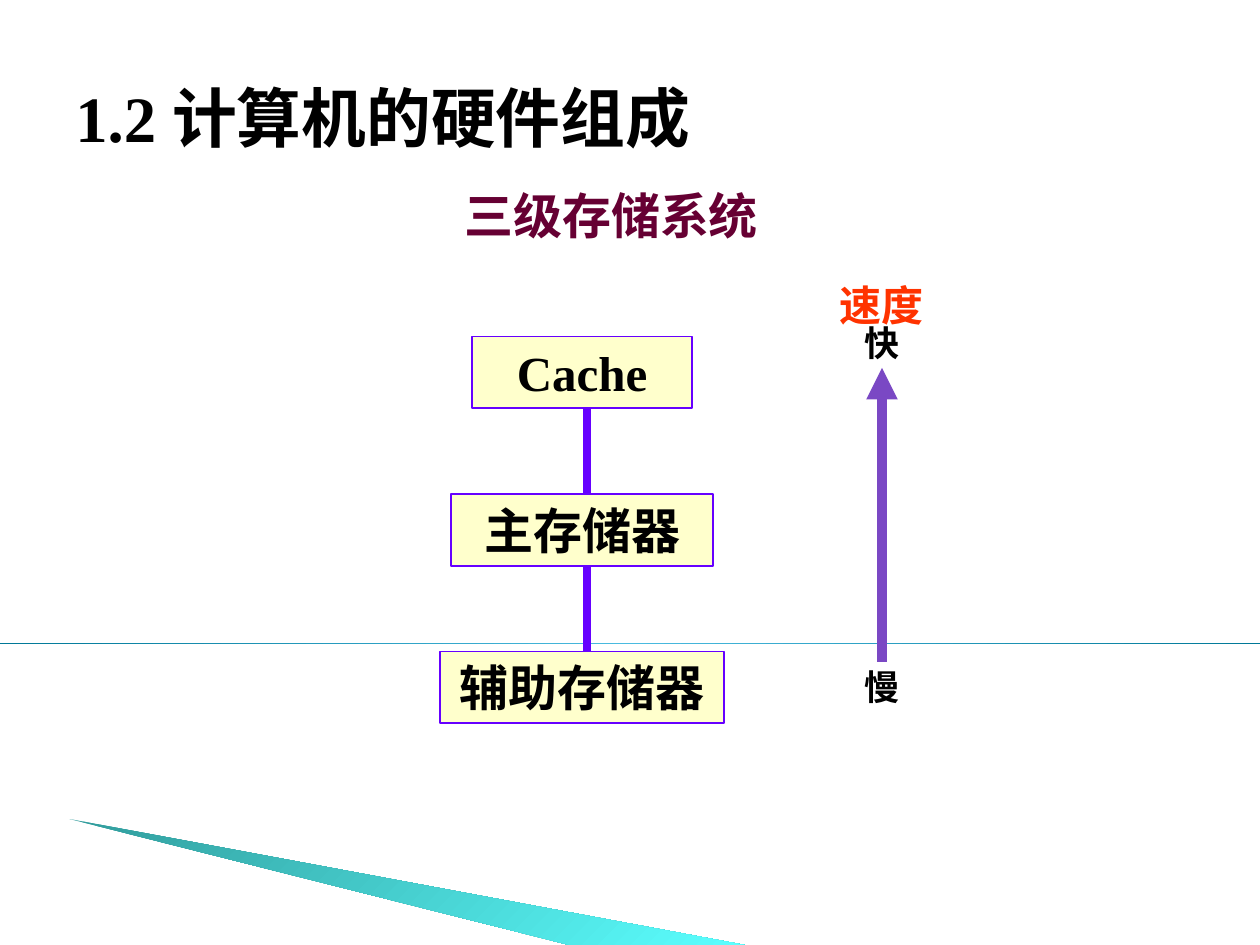
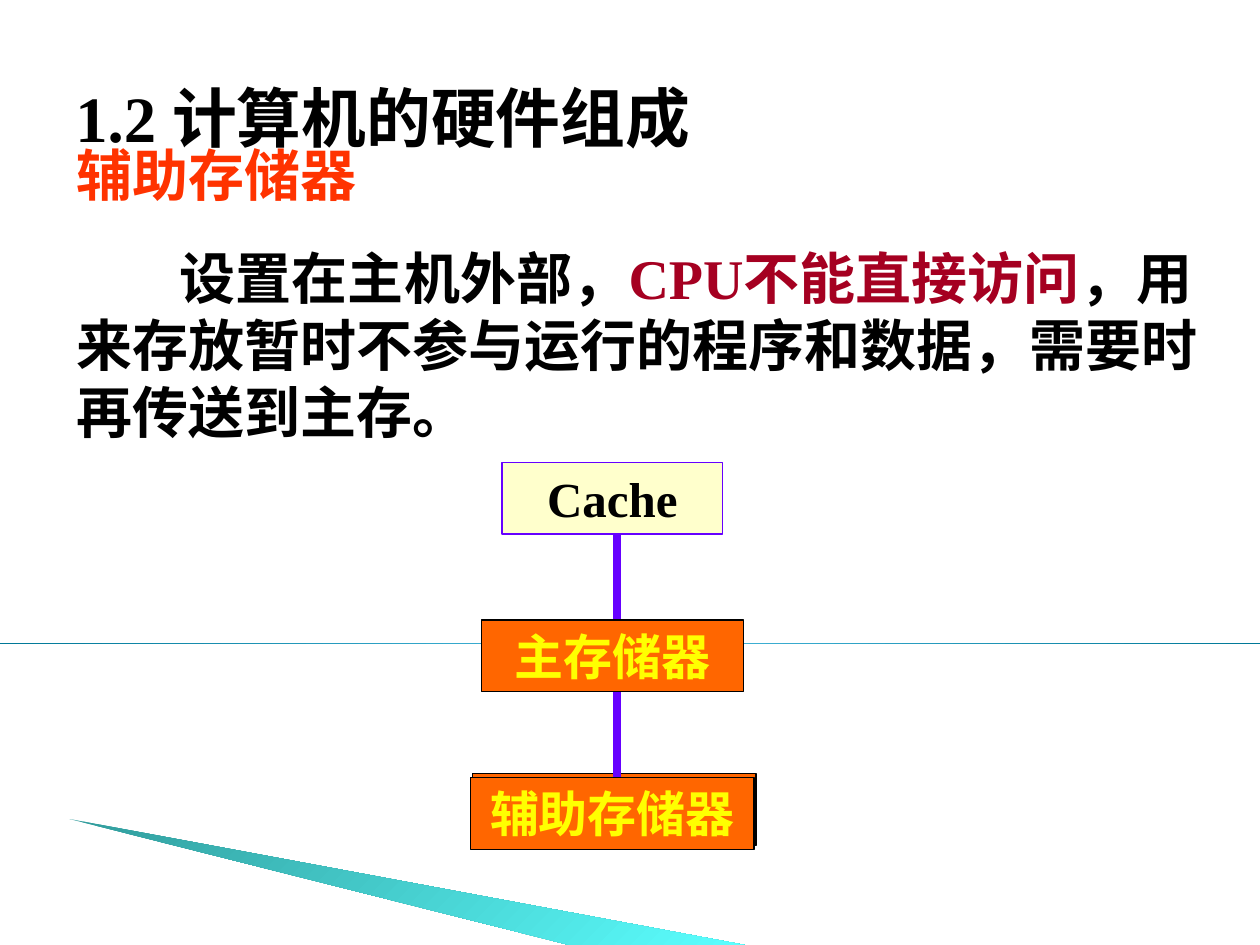
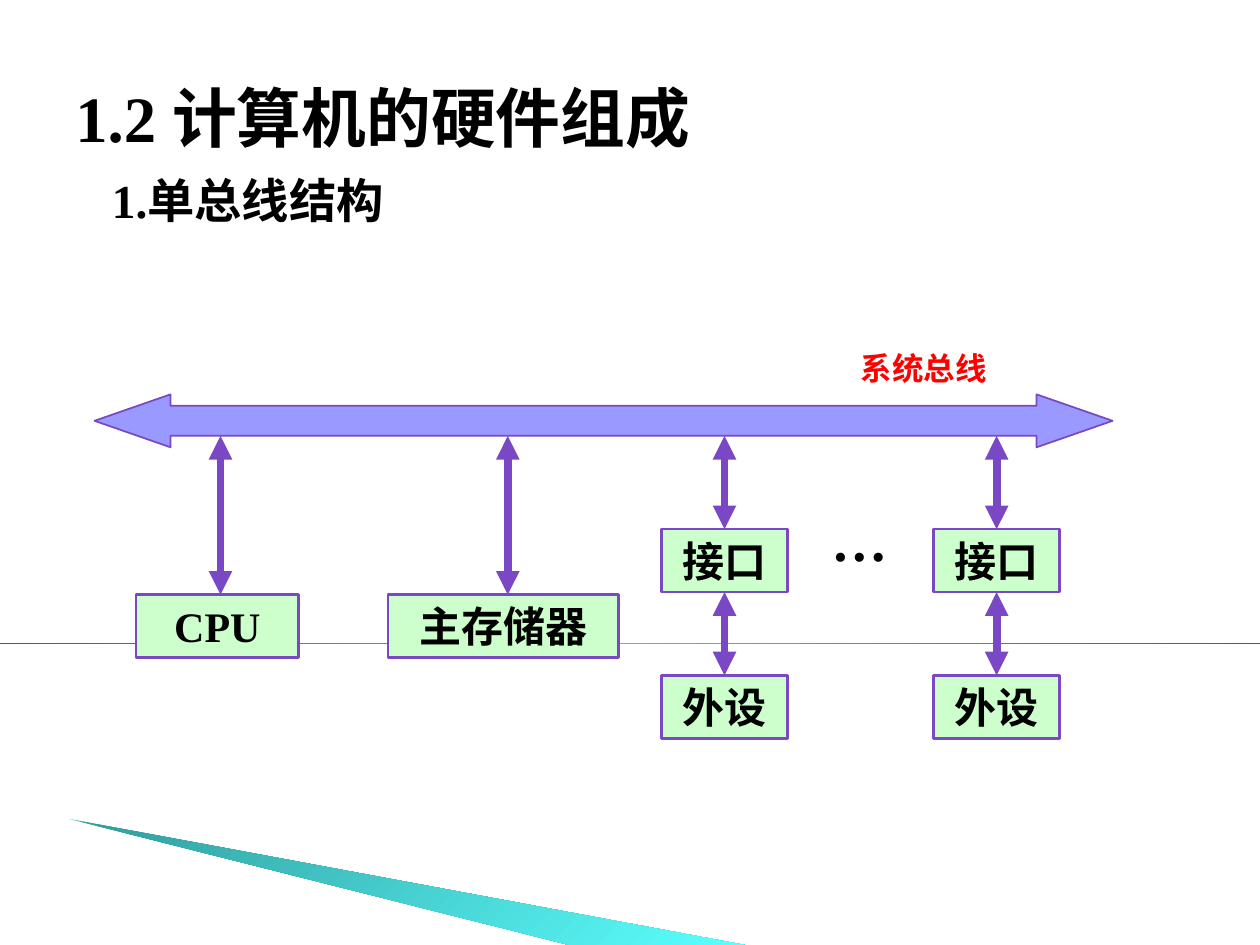
import copy

import pptx
import pptx.dml.color
import pptx.enum.dml
import pptx.enum.shapes
import pptx.enum.text
import pptx.oxml.ns
import pptx.util
from lxml import etree

W, H = 10, 7.5
LATIN, CJK = "Times New Roman", "Noto Sans CJK SC"
BLACK, RED_ORANGE, VIOLET, PURPLE = "000000", "FF3300", "6600FF", "7A48C4"
TITLE = "1.2 计算机的硬件组成"

# name, width
LEVELS = [("Cache", 1.75), ("主存储器", 2.08), ("辅助存储器", 2.25)]
LEVEL_H, LEVEL_STEP = 0.57, 1.25
CREAM = {"fill": "FFFFCC", "line": VIOLET, "weight": 1, "color": BLACK}
HOT = {"fill": "FF6600", "line": BLACK, "weight": 0.75, "color": "FFFF00"}

# text, middle of the label, size, colour
SPEED_LABELS = [("速度", 2.42, 24, RED_ORANGE), ("快", 2.72, 20, BLACK), ("慢", 5.45, 20, BLACK)]

AUXILIARY = [
    [("辅助存储器", RED_ORANGE)],
    [("设置在主机外部，", BLACK), ("CPU不能直接访问", "A50021"),
     ("，用来存放暂时不参与运行的程序和数据，需要时再传送到主存。", BLACK)],
]

BUS_BOTTOM, UNIT_H = 3.46, 0.5
# name, left, width, x of its bus arrow
UNITS = [("CPU", 1.08, 1.29, 1.75), ("主存储器", 3.08, 1.83, 4.03)]
UNIT_TOP = 4.72
DEVICE_LEFTS = [5.25, 7.41]
DEVICES = [("接口", 4.2), ("外设", 5.36)]

SHAPE = pptx.enum.shapes.MSO_SHAPE
ALIGN = pptx.enum.text.PP_ALIGN
ANCHOR = pptx.enum.text.MSO_ANCHOR
qn = pptx.oxml.ns.qn


def inches(*lengths):
    return [pptx.util.Inches(v) for v in lengths]


def rgb(value):
    return pptx.dml.color.RGBColor.from_string(value)


def write(sp, paragraphs, size, align=ALIGN.CENTER, anchor=ANCHOR.MIDDLE, wrap=True,
          space=0, leading=None):
    """Fill a shape with paragraphs, each a list of (text, colour) runs."""
    tf = sp.text_frame
    tf.word_wrap = wrap
    tf.vertical_anchor = anchor
    for i, runs in enumerate(paragraphs):
        p = tf.add_paragraph() if i else tf.paragraphs[0]
        p.alignment = align
        if i:
            p.space_before = pptx.util.Pt(space)
        if leading:
            p.line_spacing = pptx.util.Pt(leading)
        for text, color in runs:
            r = p.add_run()
            r.text = text
            r.font.size = pptx.util.Pt(size)
            r.font.bold = True
            r.font.name = LATIN
            r.font.color.rgb = rgb(color)
            etree.SubElement(r.font._element, qn("a:ea"), typeface=CJK)
    return tf


def add_text(s, box, paragraphs, size, **style):
    sp = s.shapes.add_textbox(*inches(*box))
    return write(sp, paragraphs, size, **style)


def add_box(s, box, fill, line, weight, kind=SHAPE.RECTANGLE):
    sp = s.shapes.add_shape(kind, *inches(*box))
    sp.shadow.inherit = False
    sp.fill.solid()
    sp.fill.fore_color.rgb = rgb(fill)
    sp.line.color.rgb = rgb(line)
    sp.line.width = pptx.util.Pt(weight)
    return sp


def add_line(s, start, end, color, weight, heads=()):
    c = s.shapes.add_connector(pptx.enum.shapes.MSO_CONNECTOR.STRAIGHT, *inches(*start, *end))
    c.line.color.rgb = rgb(color)
    c.line.width = pptx.util.Pt(weight)
    ln = c.line._get_or_add_ln()
    for head in heads:
        etree.SubElement(ln, qn("a:" + head), type="triangle")
    etree.SubElement(c._element.spPr, qn("a:effectLst"))
    return c


def add_bus_link(s, start, end):
    return add_line(s, start, end, PURPLE, 4.5, ("headEnd", "tailEnd"))


def paint_gradient(sp, colors, angle):
    """Spread the colours evenly; the angle runs counter-clockwise."""
    sp.shadow.inherit = False
    sp.line.fill.background()
    sp.fill.gradient()
    sp.fill.gradient_angle = angle
    stops = sp._element.spPr.find(".//" + qn("a:gsLst"))
    while len(stops) < len(colors):
        stops.append(copy.deepcopy(stops[0]))
    for i, (stop, color) in enumerate(zip(sp.fill.gradient_stops, colors)):
        stop.color.rgb = rgb(color)
        stop.position = i / (len(colors) - 1)


def add_slide(prs):
    """Blank slide with the shared rule, wedge and title."""
    s = prs.slides.add_slide(prs.slide_layouts[6])
    rule = s.shapes.add_shape(SHAPE.RECTANGLE, *inches(0, 5.1, W, 0.01))
    paint_gradient(rule, ["007897", "4ABBE0", "007897"], 0)
    fb = s.shapes.build_freeform(*inches(0.55, 6.5), scale=1.0)
    fb.add_line_segments([inches(*pt) for pt in [(5.91, H), (4.52, H)]], close=True)
    paint_gradient(fb.convert_to_shape(), ["319C9C", "5BFFFF"], 315)
    add_text(s, (0.5, 0.3, 9, 1.25), [[(TITLE, BLACK)]], 37, align=ALIGN.LEFT)
    return s


def add_levels(s, center, top, styles):
    """Stack the storage levels and link each to the next."""
    link_x = center + 0.04
    for i in range(len(LEVELS) - 1):
        y = top + i * LEVEL_STEP
        add_line(s, (link_x, y + LEVEL_H), (link_x, y + LEVEL_STEP), VIOLET, 4.5)
    for i, ((name, width), style) in enumerate(zip(LEVELS, styles)):
        box = (center - width / 2, top + i * LEVEL_STEP, width, LEVEL_H)
        sp = add_box(s, box, style["fill"], style["line"], style["weight"])
        write(sp, [[(name, style["color"])]], 28, wrap=False)


def three_levels(prs):
    s = add_slide(prs)
    add_levels(s, 4.62, 2.67, [CREAM] * 3)
    for text, middle, size, color in SPEED_LABELS:
        add_text(s, (6.46, middle - 0.25, 1.08, 0.5), [[(text, color)]], size)
    add_line(s, (7, 5.25), (7, 2.92), PURPLE, 6, ("tailEnd",))
    add_text(s, (3.44, 1.42, 2.82, 0.57), [[("三级存储系统", "660033")]], 28)


def auxiliary_storage(prs):
    s = add_slide(prs)
    add_box(s, (3.75, 6.14, 2.25, LEVEL_H), HOT["fill"], HOT["line"], HOT["weight"])
    add_levels(s, 4.86, 3.67, [CREAM, HOT, HOT])
    tf = add_text(s, (0.51, 1.07, 9.49, 2.51), AUXILIARY, 32, align=ALIGN.LEFT,
                  anchor=ANCHOR.TOP, space=20, leading=38.4)
    tf.paragraphs[1]._p.get_or_add_pPr().set("indent", str(pptx.util.Inches(0.82)))


def single_bus(prs):
    s = add_slide(prs)
    bus = add_box(s, (0.75, 3.13, 8.08, 0.42), "9999FF", PURPLE, 1, SHAPE.LEFT_RIGHT_ARROW)
    bus.adjustments[0], bus.adjustments[1] = 0.567, 1.436

    def add_unit(name, left, top, width):
        sp = add_box(s, (left, top, width, UNIT_H), "CCFFCC", PURPLE, 1.5)
        write(sp, [[(name, BLACK)]], 24, wrap=False)
        return sp

    for name, left, width, x in UNITS:
        add_unit(name, left, UNIT_TOP, width)
        add_bus_link(s, (x, UNIT_TOP), (x, BUS_BOTTOM))
    for left in DEVICE_LEFTS:
        x, above, y = left + 0.5, None, BUS_BOTTOM
        for name, top in DEVICES:
            sp = add_unit(name, left, top, 1)
            link = add_bus_link(s, (x, y), (x, top))
            if above is not None:
                link.begin_connect(above, 2)
            link.end_connect(sp, 0)
            above, y = sp, top + UNIT_H
    add_text(s, (6.5, 3.96, 0.64, 0.64), [[("…", BLACK)]], 32, wrap=False)
    add_text(s, (6.73, 2.72, 1.2, 0.4), [[("系统总线", "FF0000")]], 18, wrap=False)
    tf = add_text(s, (0.67, 1.31, 8.5, 0.73), [[("1.单总线结构", BLACK)]], 27,
                  align=ALIGN.LEFT, anchor=ANCHOR.TOP, leading=32.4)
    pPr = tf.paragraphs[0]._p.get_or_add_pPr()
    pPr.set("marL", str(pptx.util.Inches(0.4)))
    pPr.set("indent", str(pptx.util.Inches(-0.28)))


def main():
    prs = pptx.Presentation()
    prs.slide_width, prs.slide_height = inches(W, H)
    three_levels(prs)
    auxiliary_storage(prs)
    single_bus(prs)
    prs.save("out.pptx")


if __name__ == "__main__":
    main()
